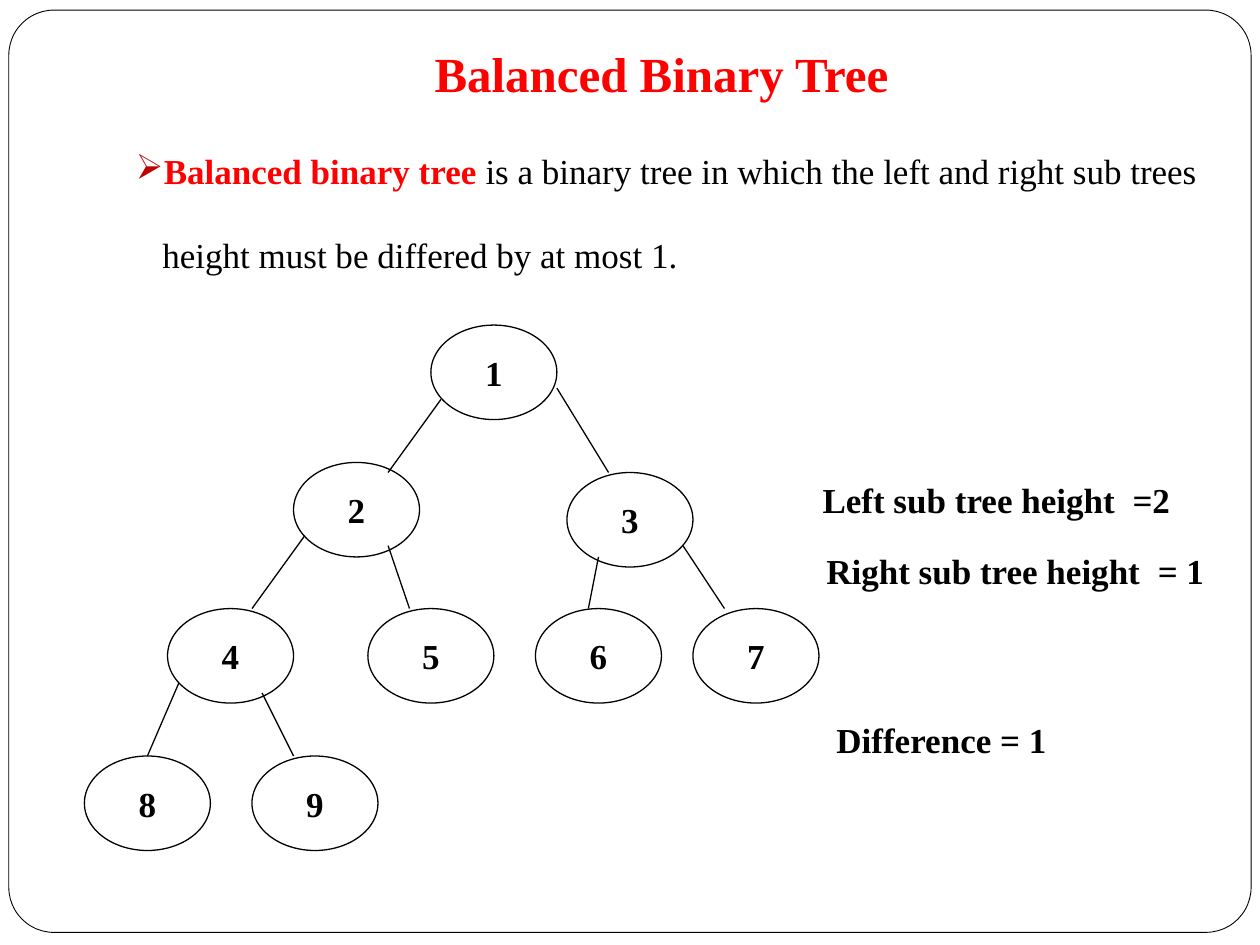
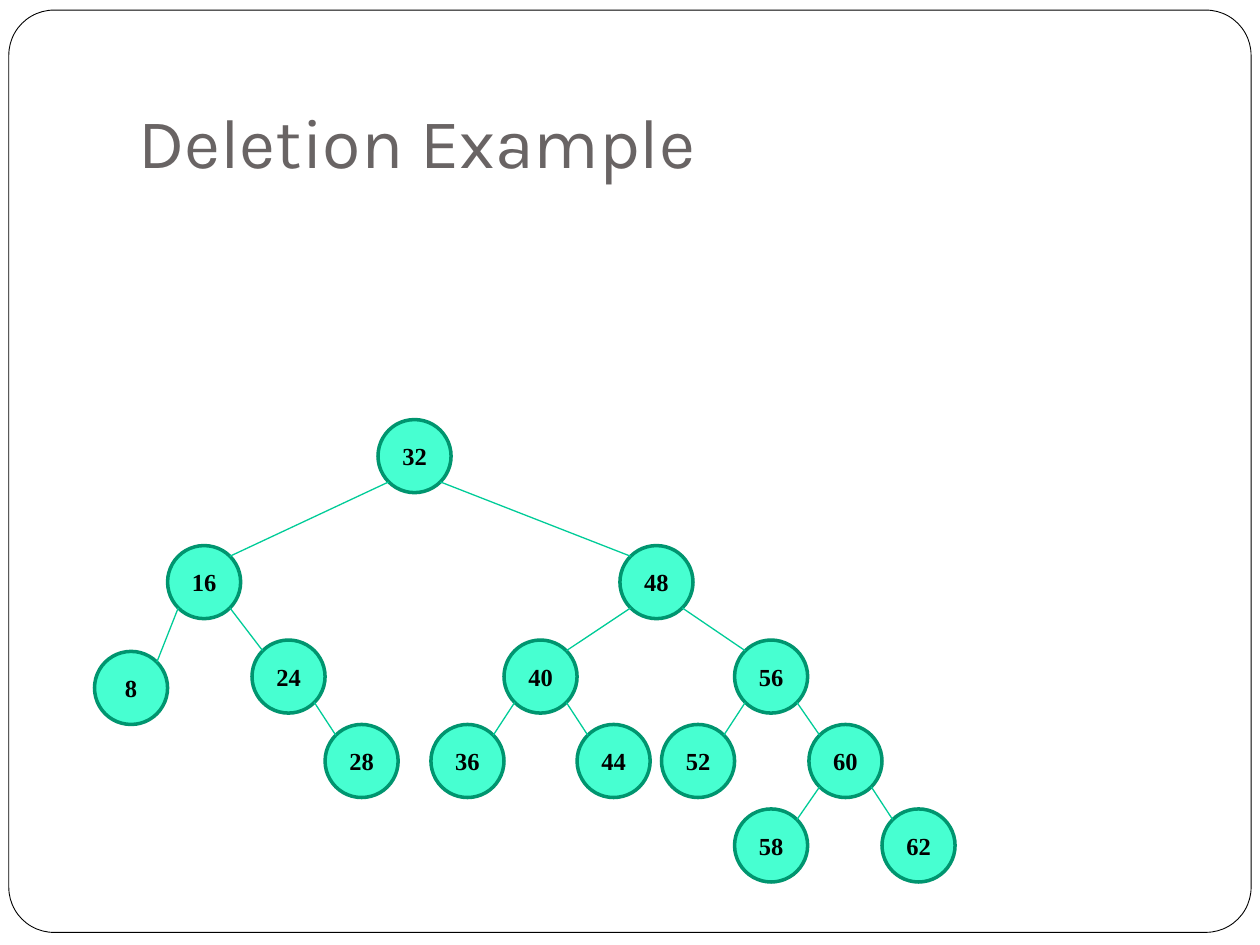
from dataclasses import dataclass
from math import sqrt

from lxml import etree
from pptx import Presentation
from pptx import util as u
from pptx.dml.color import RGBColor
from pptx.enum import shapes, text
from pptx.oxml import ns


@dataclass(frozen=True)
class Theme:
    serif: str = "Times New Roman"
    sans: str = "Karla"
    symbols: str = "Wingdings"
    black: str = "000000"
    white: str = "FFFFFF"
    red: str = "FF0000"
    bullet: str = "C00000"
    grey: str = "696464"
    mint: str = "47FFD1"
    rim: str = "00956F"
    branch: str = "00CC98"
    heading: int = 28
    display: int = 40
    body: int = 20
    small: int = 14
    hairline: float = 0.5
    thin: float = 0.75
    thick: float = 2


@dataclass(frozen=True)
class NodeStyle:
    width: float
    height: float
    fill: str
    line: str
    weight: float
    size: int


def inches(*lengths):
    return [u.Inches(length) for length in lengths]


class TreeDeck:
    def __init__(self, theme):
        self.theme = theme
        self.deck = Presentation()
        self.deck.slide_width, self.deck.slide_height = inches(10, 7.5)
        self.page = None

    def new_page(self):
        """Start a blank slide with the rounded page frame."""
        self.page = self.deck.slides.add_slide(self.deck.slide_layouts[6])
        frame = self.shape(shapes.MSO_SHAPE.ROUNDED_RECTANGLE, (0.07, 0.08, 9.86, 7.32),
                           None, self.theme.black, self.theme.hairline)
        frame.adjustments[0] = 0.049

    def shape(self, kind, place, fill, line, weight):
        shape = self.page.shapes.add_shape(kind, *inches(*place))
        shape.shadow.inherit = False
        if fill:
            shape.fill.solid()
            shape.fill.fore_color.rgb = RGBColor.from_string(fill)
        else:
            shape.fill.background()
        shape.line.color.rgb = RGBColor.from_string(line)
        shape.line.width = u.Pt(weight)
        return shape

    def span(self, para, words, size, color=None, bold=True, font=None):
        span = para.add_run()
        span.text = words
        span.font.name = font or self.theme.serif
        span.font.size = u.Pt(size)
        span.font.bold = bold
        span.font.color.rgb = RGBColor.from_string(color or self.theme.black)
        return span

    def box(self, place, wrap=True):
        frame = self.page.shapes.add_textbox(*inches(*place)).text_frame
        frame.word_wrap = wrap
        return frame

    def title(self, words, place, align, **style):
        frame = self.box(place)
        frame.vertical_anchor = text.MSO_ANCHOR.BOTTOM
        frame.margin_bottom = u.Inches(0.1)
        para = frame.paragraphs[0]
        para.alignment = align
        self.span(para, words, **style)

    def label(self, name, value, place, gap=0):
        """Write a name and its value, parted by a space widened by gap points."""
        para = self.box(place, wrap=False).paragraphs[0]
        self.span(para, name, self.theme.body)
        space = self.span(para, " ", self.theme.body)
        space.font._element.set("spc", str(gap * 100))
        self.span(para, value, self.theme.body)

    def bullet(self, para):
        properties = para._p.get_or_add_pPr()
        color = etree.SubElement(properties, ns.qn("a:buClr"))
        etree.SubElement(color, ns.qn("a:srgbClr"), val=self.theme.bullet)
        etree.SubElement(properties, ns.qn("a:buFont"), typeface=self.theme.symbols,
                         charset="2")
        etree.SubElement(properties, ns.qn("a:buChar"), char="Ø")

    def definition(self, term, rest, second_line, place):
        frame = self.box(place)
        first, second = frame.paragraphs[0], frame.add_paragraph()
        self.bullet(first)
        self.span(first, term, self.theme.body, self.theme.red)
        self.span(first, rest, self.theme.body, bold=False)
        second._p.get_or_add_pPr().set("marL", str(u.Inches(0.21)))
        second.space_before = u.Pt(24)
        self.span(second, second_line, self.theme.body, bold=False)

    def node(self, name, corner, style):
        oval = self.shape(shapes.MSO_SHAPE.OVAL, (*corner, style.width, style.height),
                          style.fill, style.line, style.weight)
        frame = oval.text_frame
        frame.word_wrap = False
        frame.vertical_anchor = text.MSO_ANCHOR.MIDDLE
        para = frame.paragraphs[0]
        para.alignment = text.PP_ALIGN.CENTER
        self.span(para, name, style.size)

    def edge(self, start, end, color):
        edge = self.page.shapes.add_connector(
            shapes.MSO_CONNECTOR.STRAIGHT, *inches(*start, *end))
        edge.line.color.rgb = RGBColor.from_string(color)
        edge.line.width = u.Pt(self.theme.thin)
        etree.SubElement(edge._element.spPr, ns.qn("a:effectLst"))

    def branch(self, parent, child, style):
        """Join the diagonal points of two round nodes, given by their corners."""
        inset = style.width * (1 - 1 / sqrt(2)) / 2
        near, far = inset, style.width - inset
        start_x, end_x = (near, far) if child[0] < parent[0] else (far, near)
        self.edge((parent[0] + start_x, parent[1] + far),
                  (child[0] + end_x, child[1] + near), self.theme.branch)


def balanced_tree(slides):
    theme = slides.theme
    style = NodeStyle(1, 0.75, theme.white, theme.black, theme.thin, theme.body)
    nodes = {
        "1": (3.42, 2.58), "2": (2.33, 3.67), "3": (4.5, 3.75),
        "4": (1.33, 4.83), "5": (2.92, 4.83), "6": (4.25, 4.83), "7": (5.5, 4.83),
        "8": (0.67, 6), "9": (2, 6),
    }
    edges = [
        ((3.5, 3.17), (3.08, 3.75)), ((4.42, 3.08), (4.83, 3.75)),
        ((2.42, 4.25), (2, 4.83)), ((3.08, 4.33), (3.25, 4.83)),
        ((1.42, 5.42), (1.17, 6)), ((2.08, 5.5), (2.33, 6)),
        ((4.75, 4.42), (4.67, 4.83)), ((5.42, 4.33), (5.75, 4.83)),
    ]
    slides.new_page()
    slides.title("Balanced Binary Tree", (1, 0.33, 8.5, 0.58), text.PP_ALIGN.CENTER,
                 size=theme.heading, color=theme.red)
    for name, corner in nodes.items():
        slides.node(name, corner, style)
    for start, end in edges:
        slides.edge(start, end, theme.black)
    slides.definition("Balanced binary tree ",
                      "is a binary tree in which the left and right sub trees",
                      "height must be differed by at most 1.", (0.98, 1.14, 8.69, 1.1))
    slides.label("Left sub tree height", "=2", (6.43, 3.75, 2.96, 0.44), gap=5)
    slides.label("Right sub tree height", "= 1", (6.46, 4.31, 3.2, 0.44), gap=5)
    slides.label("Difference", "= 1", (6.54, 5.65, 1.87, 0.44))


def deletion_example(slides):
    theme = slides.theme
    style = NodeStyle(0.58, 0.58, theme.mint, theme.rim, theme.thick, theme.small)
    nodes = {
        "32": (3, 3.33), "16": (1.33, 4.33), "48": (4.92, 4.33),
        "8": (0.75, 5.17), "24": (2, 5.08), "40": (4, 5.08), "56": (5.83, 5.08),
        "28": (2.58, 5.75), "36": (3.42, 5.75), "44": (4.58, 5.75),
        "52": (5.25, 5.75), "60": (6.42, 5.75), "58": (5.83, 6.42), "62": (7, 6.42),
    }
    children = {
        "32": ("16", "48"), "16": ("8", "24"), "24": ("28",), "48": ("40", "56"),
        "40": ("36", "44"), "56": ("52", "60"), "60": ("58", "62"),
    }
    slides.new_page()
    slides.title("Deletion Example", (1, 0.07, 8.5, 1.48), text.PP_ALIGN.LEFT,
                 size=theme.display, color=theme.grey, bold=False, font=theme.sans)
    for name, corner in nodes.items():
        slides.node(name, corner, style)
    for parent, names in children.items():
        for name in names:
            slides.branch(nodes[parent], nodes[name], style)


def main():
    slides = TreeDeck(Theme())
    balanced_tree(slides)
    deletion_example(slides)
    slides.deck.save("out.pptx")


if __name__ == "__main__":
    main()
